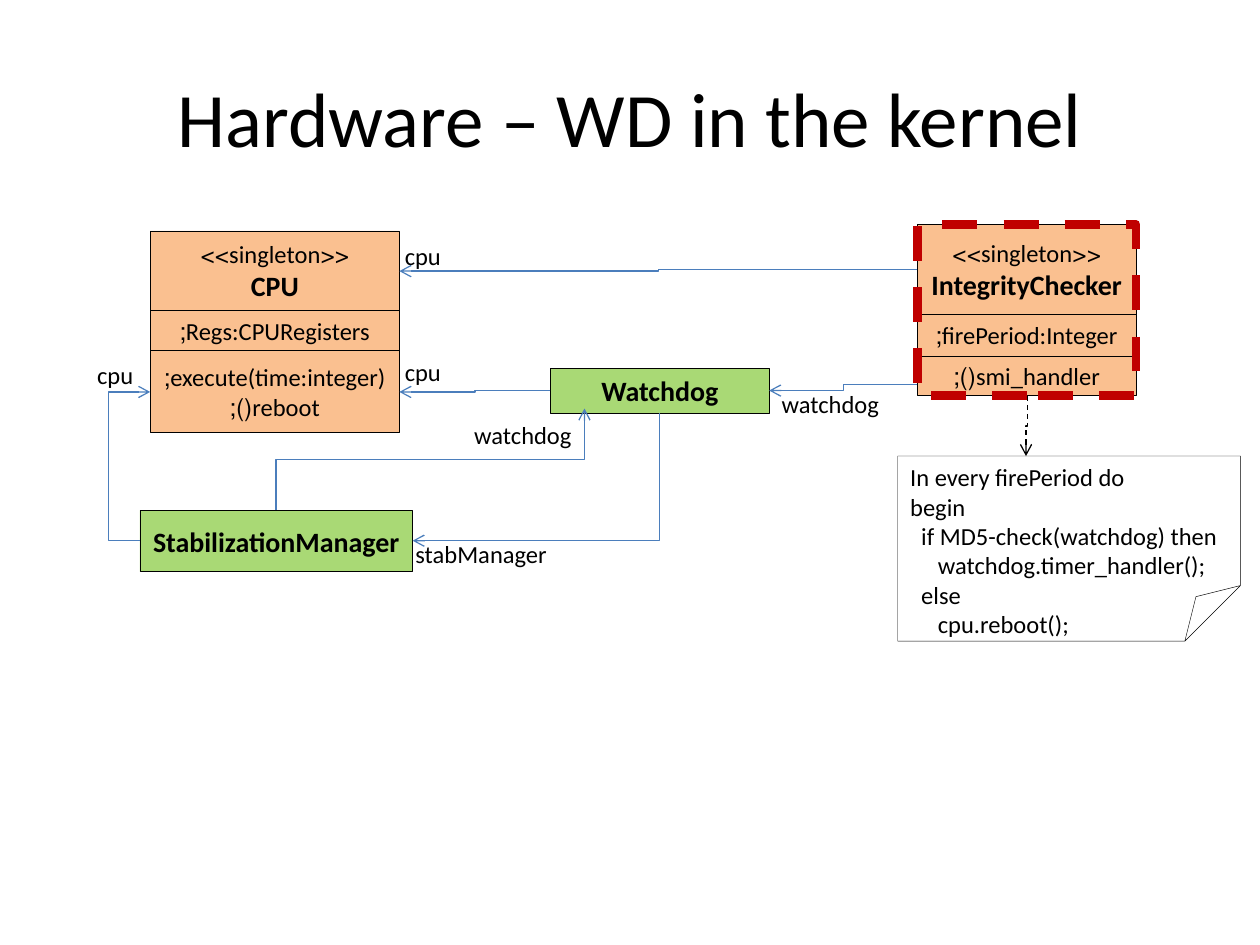
import pptx
import pptx.dml.color
import pptx.enum.dml
import pptx.enum.shapes
import pptx.enum.text
import pptx.oxml.ns
import pptx.util
import lxml.etree

Pt = pptx.util.Pt
qn = pptx.oxml.ns.qn
SHAPES = pptx.enum.shapes.MSO_SHAPE
DASH = pptx.enum.dml.MSO_LINE.DASH
ANCHOR = pptx.enum.text.MSO_ANCHOR
ALIGN = pptx.enum.text.PP_ALIGN

BLACK, ORANGE, GREEN, BLUE, RED = "000000", "FAC090", "A9D975", "4B7EBC", "C00000"


def colour(value):
    """Turn a hex string into a colour."""
    return pptx.dml.color.RGBColor.from_string(value)


def write(frame, lines, centred=True):
    """Fill a text frame from (text, size, bold, indent) lines."""
    frame.text = "\n".join(line[0] for line in lines)
    for paragraph, (_, size, bold, indent) in zip(frame.paragraphs, lines):
        paragraph.alignment = ALIGN.CENTER if centred else ALIGN.LEFT
        properties = paragraph._p.get_or_add_pPr()
        if centred:
            properties.set("rtl", "1")
        if indent:
            properties.set("marL", str(Pt(indent)))
        for run in paragraph.runs:
            run.font.name = "Calibri"
            run.font.size = Pt(size)
            run.font.bold = bold
            run.font.color.rgb = colour(BLACK)


def add_label(slide, text, left, top, width, height=24.5, size=14, wrap=False):
    """Add centred free text."""
    label = slide.shapes.add_textbox(Pt(left), Pt(top), Pt(width), Pt(height))
    frame = label.text_frame
    frame.word_wrap = wrap
    frame.vertical_anchor = ANCHOR.MIDDLE if wrap else ANCHOR.TOP
    write(frame, [(text, size, False, 0)])


def add_box(slide, left, top, width, height, fill=None, line=BLACK,
            weight=0.25, kind=SHAPES.RECTANGLE):
    """Add an outlined shape, unfilled when no fill is given."""
    box = slide.shapes.add_shape(kind, Pt(left), Pt(top), Pt(width), Pt(height))
    box.shadow.inherit = False
    if fill:
        box.fill.solid()
        box.fill.fore_color.rgb = colour(fill)
    else:
        box.fill.background()
    box.line.color.rgb = colour(line)
    box.line.width = Pt(weight)
    return box


def add_class(slide, left, top, width, fill, sections):
    """Stack the compartments of a class, given as (height, lines)."""
    for height, lines in sections:
        box = add_box(slide, left, top, width, height, fill)
        box.text_frame.word_wrap = True
        box.text_frame.vertical_anchor = ANCHOR.MIDDLE
        write(box.text_frame, lines)
        top += height


def set_guide(geometry, guide_name, ratio):
    """Set one adjustment of a preset geometry."""
    guides = geometry.find(qn("a:avLst"))
    if guides is None:
        guides = lxml.etree.SubElement(geometry, qn("a:avLst"))
    guide = lxml.etree.SubElement(guides, qn("a:gd"))
    guide.set("name", guide_name)
    guide.set("fmla", f"val {round(ratio * 100000)}")


def add_link(slide, start, end, bend=0.5, vertical=False, corner=False,
             line=BLUE, dashed=False, arrow="tailEnd"):
    """Add an elbow arrow that leaves its start sideways or vertically."""
    if vertical:
        middle = [(a + b) / 2 for a, b in zip(start, end)]
        start, end = [(middle[0] + y - middle[1], middle[1] - x + middle[0])
                      for x, y in (start, end)]
    link = slide.shapes.add_connector(
        pptx.enum.shapes.MSO_CONNECTOR.ELBOW, *(Pt(v) for v in (*start, *end)))
    link.line.color.rgb = colour(line)
    link.line.width = Pt(0.75)
    if dashed:
        link.line.dash_style = DASH
    properties = link._element.spPr
    if vertical:
        properties.find(qn("a:xfrm")).set("rot", "5400000")
    geometry = properties.find(qn("a:prstGeom"))
    if corner:
        geometry.set("prst", "bentConnector2")
    elif bend != 0.5:
        set_guide(geometry, "adj1", bend)
    lxml.etree.SubElement(properties.find(qn("a:ln")), qn("a:" + arrow)).set("type", "arrow")
    lxml.etree.SubElement(properties, qn("a:effectLst"))


def add_note(slide, left, top, width, height, lines):
    """Add a folded-corner note with (text, indent) lines."""
    note = add_box(slide, left, top, width, height, kind=SHAPES.FOLDED_CORNER)
    set_guide(note._element.spPr.find(qn("a:prstGeom")), "adj", 0.3)
    note.text_frame.word_wrap = True
    note.text_frame.vertical_anchor = ANCHOR.TOP
    write(note.text_frame, [(text, 14, False, indent) for text, indent in lines], False)


def member(text):
    """Return a plain class line."""
    return text, 14, False, 0


def name(text):
    """Return a bold class name line."""
    return text, 16, True, 0


def main():
    """Build the watchdog class diagram."""
    deck = pptx.Presentation()
    deck.slide_width, deck.slide_height = Pt(720), Pt(540)
    slide = deck.slides.add_slide(deck.slide_layouts[6])
    add_label(slide, "Hardware – WD in the kernel", 36, 21.6, 648, 90, 44, True)

    add_class(slide, 80, 291.6, 155.8, GREEN, [(35, [name("StabilizationManager")])])
    add_class(slide, 314.6, 210.5, 125, GREEN, [(25.5, [name("Watchdog")])])
    add_class(slide, 85.8, 132, 142.5, ORANGE, [
        (45.3, [member("<<singleton>>"), name("CPU")]),
        (23, [member("Regs:CPURegisters;")]),
        (47, [member("execute(time:integer);"), member("reboot();")])])
    add_class(slide, 524.3, 128.2, 124.8, ORANGE, [
        (51.2, [member("<<singleton>>"), name("IntegrityChecker")]),
        (24, [member("firePeriod:Integer;")]),
        (22.8, [member("smi_handler();")])])

    add_link(slide, (235.8, 309), (377, 236), corner=True, arrow="headEnd")
    add_link(slide, (157.8, 291.6), (334, 233.5), vertical=True)
    add_link(slide, (80, 309), (85.8, 224), bend=-3.1)
    add_link(slide, (314.6, 223.2), (228.3, 224))
    add_link(slide, (524.3, 153.8), (228.3, 154.9))
    add_link(slide, (524.3, 219.8), (439.6, 223.2))
    add_link(slide, (587.2, 226.2), (586.3, 260.6), vertical=True, line=BLACK, dashed=True)

    for text, left, top, width in (
            ("stabManager", 229.7, 304.6, 90.5), ("watchdog", 263.5, 236.2, 70.5),
            ("watchdog", 439.2, 219, 70.5), ("cpu", 48.2, 202.3, 35.3),
            ("cpu", 224, 200.2, 35.3), ("cpu", 224, 134, 35.3)):
        add_label(slide, text, left, top, width)

    add_note(slide, 513, 260.6, 195.8, 105.8, [
        ("In every firePeriod do", 0), ("begin", 0),
        ("if MD5-check(watchdog) then", 6.3), ("watchdog.timer_handler();", 15.8),
        ("else", 6.3), ("cpu.reboot();", 15.8)])
    frame = add_box(slide, 524.3, 128.2, 124.8, 98, line=RED, weight=5)
    frame.line.dash_style = DASH
    deck.save("out.pptx")


if __name__ == "__main__":
    main()
